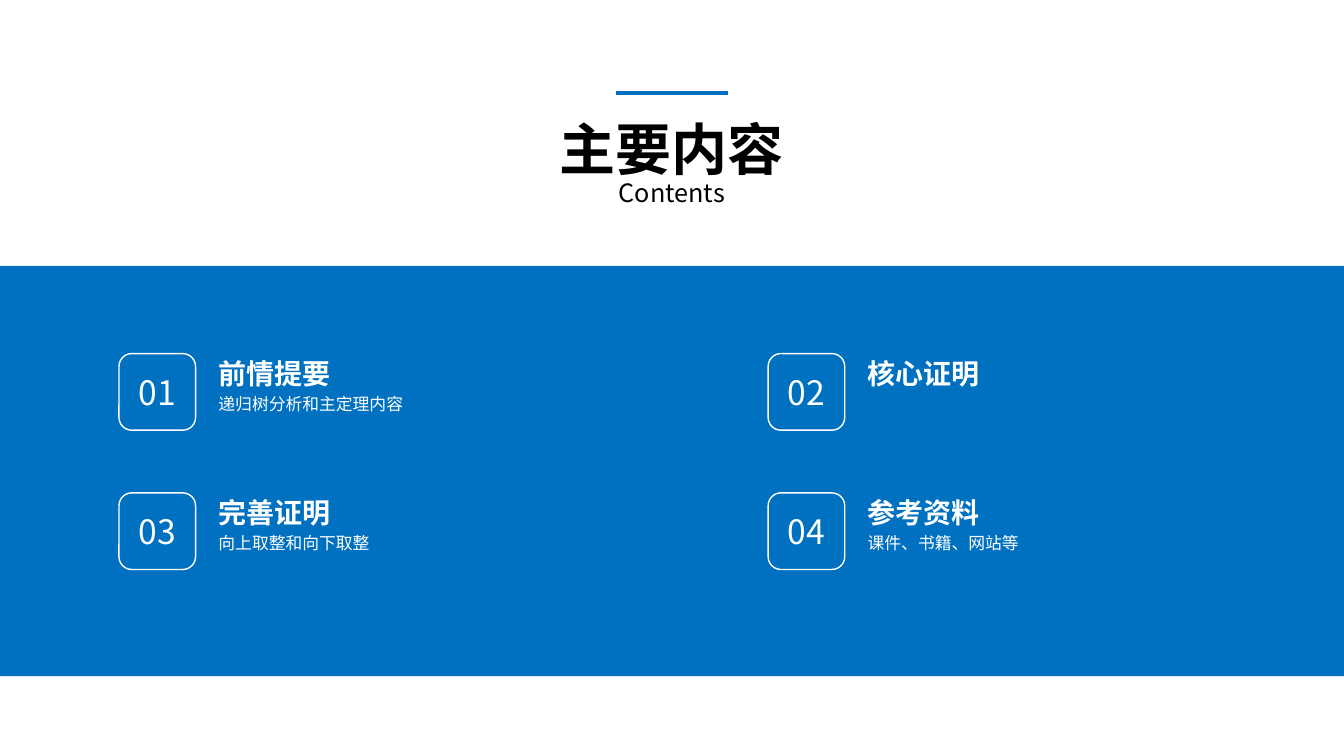
from lxml import etree
from pptx import Presentation
from pptx.dml.color import RGBColor
from pptx.enum import shapes, text
from pptx.oxml import ns
from pptx.util import Pt

BLUE = RGBColor(0x00, 0x70, 0xC0)
WHITE = RGBColor(0xFF, 0xFF, 0xFF)
BLACK = RGBColor(0x00, 0x00, 0x00)
SANS = "Noto Sans CJK SC"

CHAPTERS = [
    ("前情提要", "递归树分析和主定理内容"),
    ("核心证明", None),
    ("完善证明", "向上取整和向下取整"),
    ("参考资料", "课件、书籍、网站等"),
]
GRID_LEFT, GRID_TOP = 85, 252.6
COLUMN_STEP, ROW_STEP = 463.7, 99.5
BADGE_SIZE = 54.7


def write(frame, words, size, color, bold=False, align=text.PP_ALIGN.LEFT, font=SANS):
    paragraph = frame.paragraphs[0]
    paragraph.text = words
    paragraph.alignment = align
    paragraph.font.size = Pt(size)
    paragraph.font.bold = bold
    paragraph.font.color.rgb = color
    paragraph.font.name = font
    defaults = paragraph._p.pPr.find(ns.qn("a:defRPr"))
    etree.SubElement(defaults, ns.qn("a:ea"), typeface=SANS)


def add_label(parent, left, top, width, height, words, size, color, wrap=True, **style):
    label = parent.add_textbox(Pt(left), Pt(top), Pt(width), Pt(height))
    label.text_frame.word_wrap = wrap
    label.text_frame.auto_size = text.MSO_AUTO_SIZE.SHAPE_TO_FIT_TEXT
    write(label.text_frame, words, size, color, **style)


def add_band(slide):
    band = slide.shapes.add_shape(
        shapes.MSO_SHAPE.RECTANGLE, Pt(0), Pt(190), Pt(960), Pt(293))
    band.shadow.inherit = False
    band.fill.solid()
    band.fill.fore_color.rgb = BLUE
    band.line.fill.background()


def add_rule(slide):
    rule = slide.shapes.add_connector(
        shapes.MSO_CONNECTOR.STRAIGHT, Pt(440), Pt(66.3), Pt(520), Pt(66.3))
    rule.line.color.rgb = BLUE
    rule.line.width = Pt(3)
    etree.SubElement(rule._element.spPr, ns.qn("a:effectLst"))


def set_title(slide, words):
    title = slide.shapes.title
    title.left, title.top, title.width, title.height = Pt(391.7), Pt(78.5), Pt(176.4), Pt(55.4)
    frame = title.text_frame
    frame.word_wrap = False
    frame.auto_size = text.MSO_AUTO_SIZE.SHAPE_TO_FIT_TEXT
    frame.vertical_anchor = text.MSO_ANCHOR.TOP
    write(frame, words, 40, BLACK, bold=True, align=text.PP_ALIGN.CENTER, font="Calibri")


def add_chapter(slide, index, heading, detail):
    row, column = divmod(index, 2)
    left = GRID_LEFT + column * COLUMN_STEP
    top = GRID_TOP + row * ROW_STEP
    chapter = slide.shapes.add_group_shape().shapes

    badge = chapter.add_shape(
        shapes.MSO_SHAPE.ROUNDED_RECTANGLE,
        Pt(left), Pt(top), Pt(BADGE_SIZE), Pt(BADGE_SIZE))
    badge.shadow.inherit = False
    badge.fill.background()
    badge.line.color.rgb = WHITE
    badge.line.width = Pt(1)
    badge.text_frame.vertical_anchor = text.MSO_ANCHOR.MIDDLE
    write(badge.text_frame, f"{index + 1:02}", 24, WHITE, align=text.PP_ALIGN.CENTER)

    text_left = left + 64
    add_label(chapter, text_left, top - 1.8, 95, 31.7, heading, 20, WHITE,
              wrap=False, bold=True)
    if detail:
        add_label(chapter, text_left, top + 25.2, 270.7, 21.6, detail, 12, WHITE)


def main():
    deck = Presentation()
    deck.slide_width, deck.slide_height = Pt(960), Pt(540)
    slide = deck.slides.add_slide(deck.slide_layouts.get_by_name("Title Only"))
    add_band(slide)
    set_title(slide, "主要内容")
    add_rule(slide)
    add_label(slide.shapes, 261.4, 123.1, 437, 28.8, "Contents", 18, BLACK,
              align=text.PP_ALIGN.CENTER)
    for index, (heading, detail) in enumerate(CHAPTERS):
        add_chapter(slide, index, heading, detail)
    deck.save("out.pptx")


if __name__ == "__main__":
    main()
